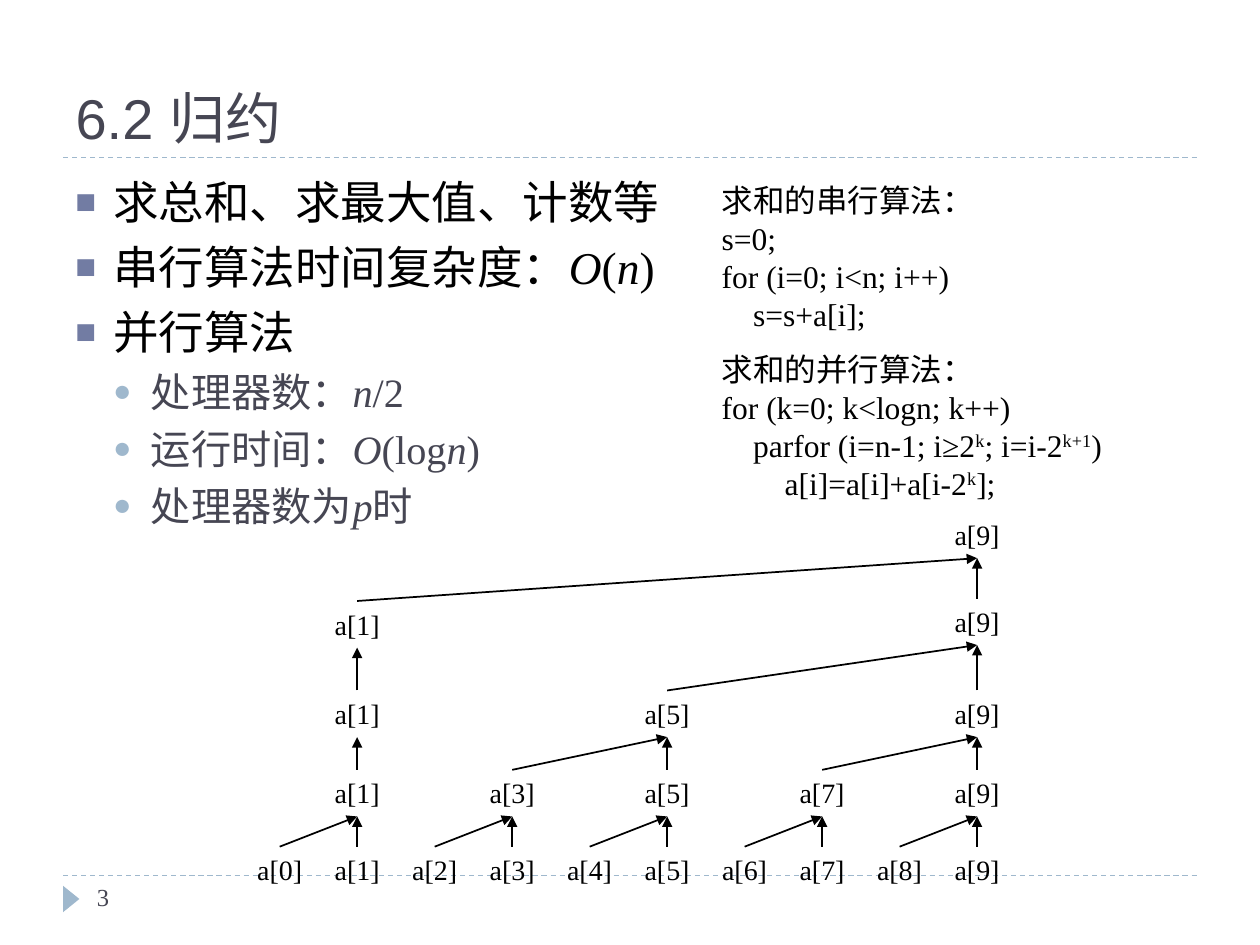
from lxml.etree import SubElement
from pptx import Presentation
from pptx.dml.color import RGBColor
from pptx.enum.dml import MSO_LINE
from pptx.enum.shapes import MSO_CONNECTOR, MSO_SHAPE
from pptx.enum.text import MSO_ANCHOR, MSO_AUTO_SIZE, PP_ALIGN
from pptx.oxml.ns import qn
from pptx.util import Inches, Pt

BLACK, SLATE, PALE, VIOLET = "000000", "464653", "9FB8CD", "727CA3"
SERIF = "Times New Roman"

TITLE = "6.2 归约"
POINTS = [
    (0, "求总和、求最大值、计数等"),
    (0, "串行算法时间复杂度：|O|(|n|)"),
    (0, "并行算法"),
    (1, "处理器数：|n|/2"),
    (1, "运行时间：|O|(log|n|)"),
    (1, "处理器数为|p|时"),
]
POINT_STYLES = [(26, BLACK, 6, "■", VIOLET), (23, SLATE, 5, "●", PALE)]
ALGORITHMS = [
    (1.39, 2.6, [
        (0, "求和的串行算法："),
        (0, "s=0;"),
        (0, "for (i=0; i<n; i++)"),
        (1, "s=s+a[i];"),
    ]),
    (2.73, 3.94, [
        (0, "求和的并行算法："),
        (0, "for (k=0; k<logn; k++)"),
        (1, "parfor (i=n-1; i≥2|k|; i=i-2|k+1|)"),
        (2, "a[i]=a[i]+a[i-2|k|];"),
    ]),
]
TREE_LEVELS = [
    dict.fromkeys(range(10), 6.72),
    dict.fromkeys(range(1, 10, 2), 6.11),
    dict.fromkeys(range(1, 10, 4), 5.48),
    {1: 4.77, 9: 4.75},
    {9: 4.06},
]
FIRST_CENTER, COLUMN_STEP = 2.22, 0.615
NODE_WIDTH, NODE_HEIGHT = 0.56, 0.37
RULES = [6.95, 1.25]


def color(value):
    return RGBColor.from_string(value)


def format_run(run, size, shade, font=SERIF):
    run.font.size = Pt(size)
    run.font.name = font
    run.font.color.rgb = color(shade)


def add_runs(paragraph, text, size, shade, mark):
    for position, part in enumerate(text.split("|")):
        run = paragraph.add_run()
        run.text = part
        format_run(run, size, shade)
        if position % 2:
            mark(run)


def italic(run):
    run.font.italic = True


def superscript(run):
    run.font._element.set("baseline", "30000")


def add_box(slide, left, top, width, height, wrap=True):
    box = slide.shapes.add_textbox(*map(Inches, (left, top, width, height)))
    box.text_frame.word_wrap = wrap
    return box


def add_paragraphs(frame, lines):
    for position, (level, text) in enumerate(lines):
        paragraph = frame.add_paragraph() if position else frame.paragraphs[0]
        yield paragraph, level, text


def set_indent(paragraph, margin, indent=0):
    properties = paragraph._p.get_or_add_pPr()
    properties.set("marL", str(Inches(margin)))
    properties.set("indent", str(Inches(indent)))
    return properties


def add_line(slide, start, end, shade, width):
    line = slide.shapes.add_connector(
        MSO_CONNECTOR.STRAIGHT, *map(Inches, (*start, *end)))
    line.line.color.rgb = color(shade)
    line.line.width = Pt(width)
    SubElement(line._element.spPr, qn("a:effectLst"))
    return line


def add_frame(slide):
    for top in RULES:
        rule = add_line(slide, (0.5, top), (9.5, top), PALE, 0.75)
        rule.line.dash_style = MSO_LINE.DASH
    marker = slide.shapes.add_shape(
        MSO_SHAPE.ISOSCELES_TRIANGLE, *map(Inches, (0.46, 7.07, 0.21, 0.13)))
    marker.rotation = 90
    marker.shadow.inherit = False
    marker.fill.solid()
    marker.fill.fore_color.rgb = color(PALE)
    marker.line.fill.background()
    number = add_box(slide, 0.67, 6.95, 2.17, 0.4)
    number.text_frame.text = "3"
    format_run(number.text_frame.paragraphs[0].runs[0], 14, SLATE)


def add_title(slide):
    title = slide.shapes.title
    title.left, title.top, title.width, title.height = map(
        Inches, (0.5, 0.17, 9, 1.08))
    frame = title.text_frame
    frame.text = TITLE
    frame.auto_size = MSO_AUTO_SIZE.NONE
    frame.vertical_anchor = MSO_ANCHOR.BOTTOM
    frame.paragraphs[0].alignment = PP_ALIGN.LEFT
    format_run(frame.paragraphs[0].runs[0], 32, SLATE, "Arial")


def add_points(slide):
    frame = add_box(slide, 0.5, 1.33, 9, 2.81).text_frame
    for paragraph, level, text in add_paragraphs(frame, POINTS):
        size, shade, space, bullet, bullet_shade = POINT_STYLES[level]
        paragraph.level = level
        paragraph.space_before = Pt(space)
        properties = set_indent(paragraph, 0.3 * (level + 1), -0.3)
        bullet_color = SubElement(properties, qn("a:buClr"))
        SubElement(bullet_color, qn("a:srgbClr"), val=bullet_shade)
        SubElement(properties, qn("a:buSzPct"), val="76000")
        SubElement(properties, qn("a:buFont"), typeface="Arial")
        SubElement(properties, qn("a:buChar"), char=bullet)
        add_runs(paragraph, text, size, shade, italic)


def add_algorithms(slide):
    for top, width, lines in ALGORITHMS:
        frame = add_box(slide, 5.63, top, width, 1.31).text_frame
        frame.auto_size = MSO_AUTO_SIZE.SHAPE_TO_FIT_TEXT
        for paragraph, level, text in add_paragraphs(frame, lines):
            set_indent(paragraph, 0.25 * level)
            add_runs(paragraph, text, 18, BLACK, superscript)


def add_node(slide, index, top):
    left = FIRST_CENTER + index * COLUMN_STEP - NODE_WIDTH / 2
    node = add_box(slide, left, top, NODE_WIDTH, NODE_HEIGHT, wrap=False)
    node.text_frame.auto_size = MSO_AUTO_SIZE.SHAPE_TO_FIT_TEXT
    node.text_frame.text = f"a[{index}]"
    paragraph = node.text_frame.paragraphs[0]
    paragraph.alignment = PP_ALIGN.CENTER
    format_run(paragraph.runs[0], 16, BLACK)
    return node


def add_arrow(slide, source, target):
    arrow = add_line(slide, (0, 0), (0, 0), BLACK, 1)
    arrow.begin_connect(source, 0)
    arrow.end_connect(target, 2)
    SubElement(arrow.line._get_or_add_ln(), qn("a:tailEnd"), type="triangle")


def add_tree(slide):
    below = {}
    for depth, level in enumerate(TREE_LEVELS):
        nodes = {index: add_node(slide, index, top) for index, top in level.items()}
        for index, node in nodes.items():
            for source in (index, index - 2 ** depth // 2):
                if source in below:
                    add_arrow(slide, below[source], node)
        below = nodes


def main():
    presentation = Presentation()
    presentation.slide_width, presentation.slide_height = Inches(10), Inches(7.5)
    slide = presentation.slides.add_slide(presentation.slide_layouts[5])
    add_frame(slide)
    add_title(slide)
    add_points(slide)
    add_algorithms(slide)
    add_tree(slide)
    presentation.save("out.pptx")


if __name__ == "__main__":
    main()
